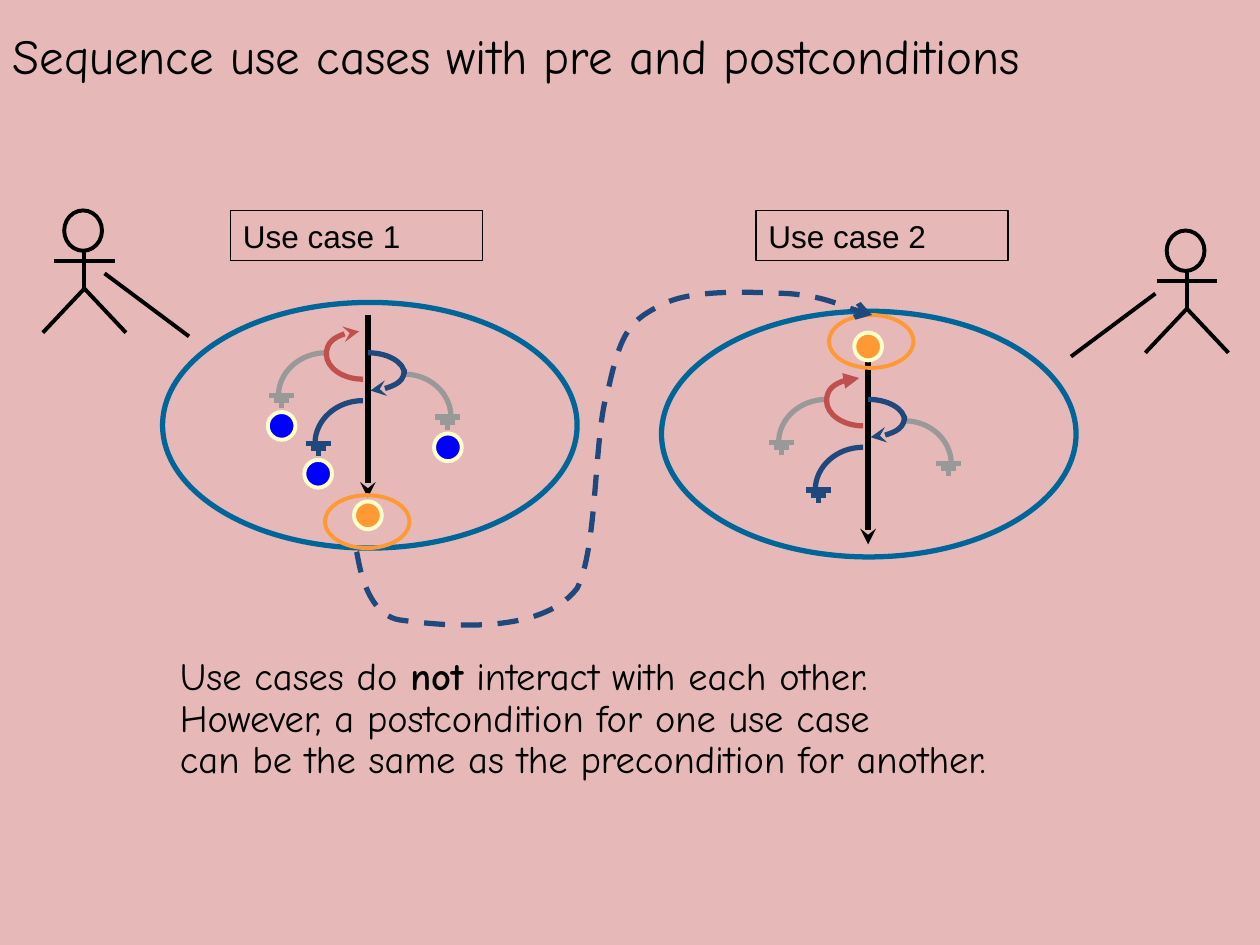
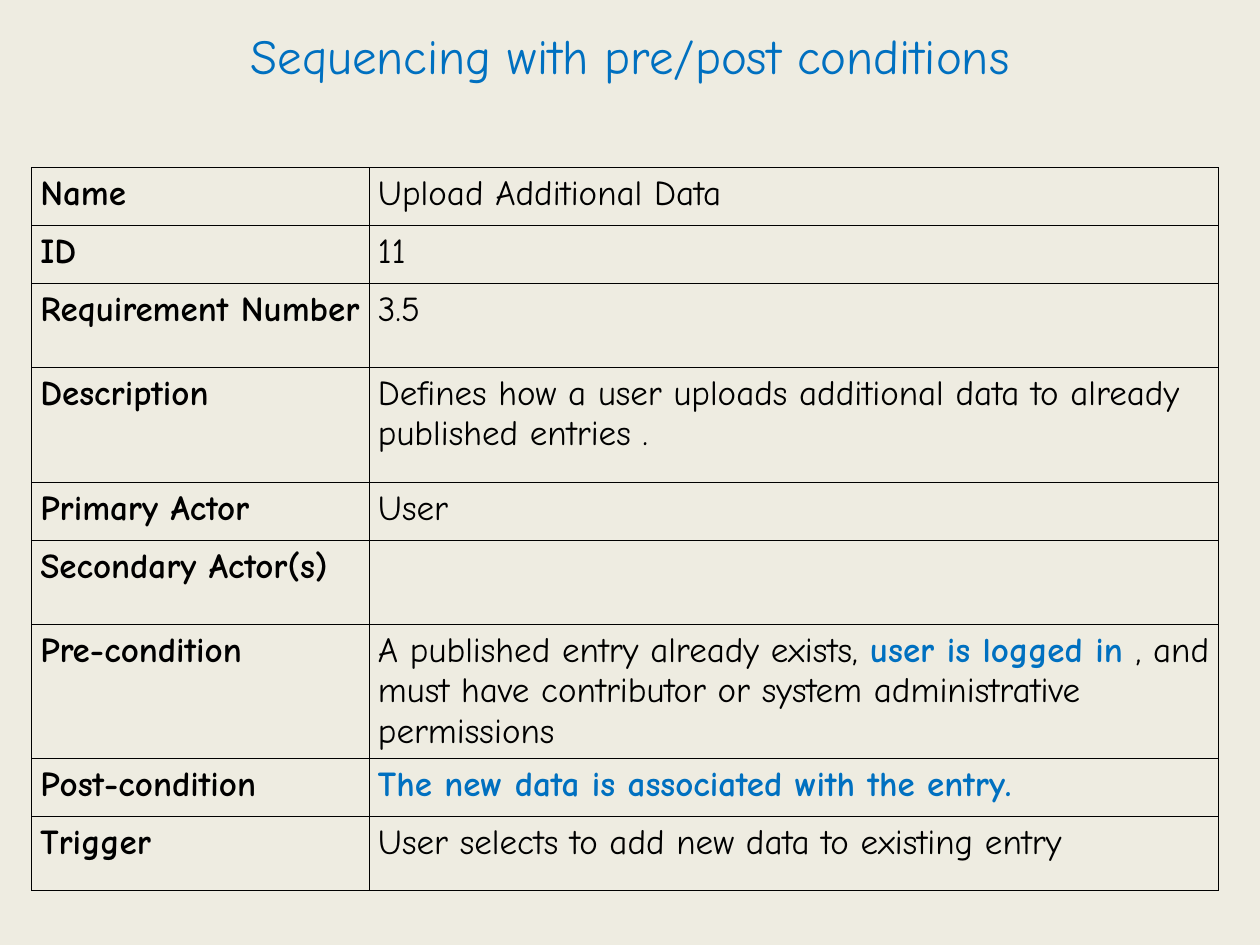
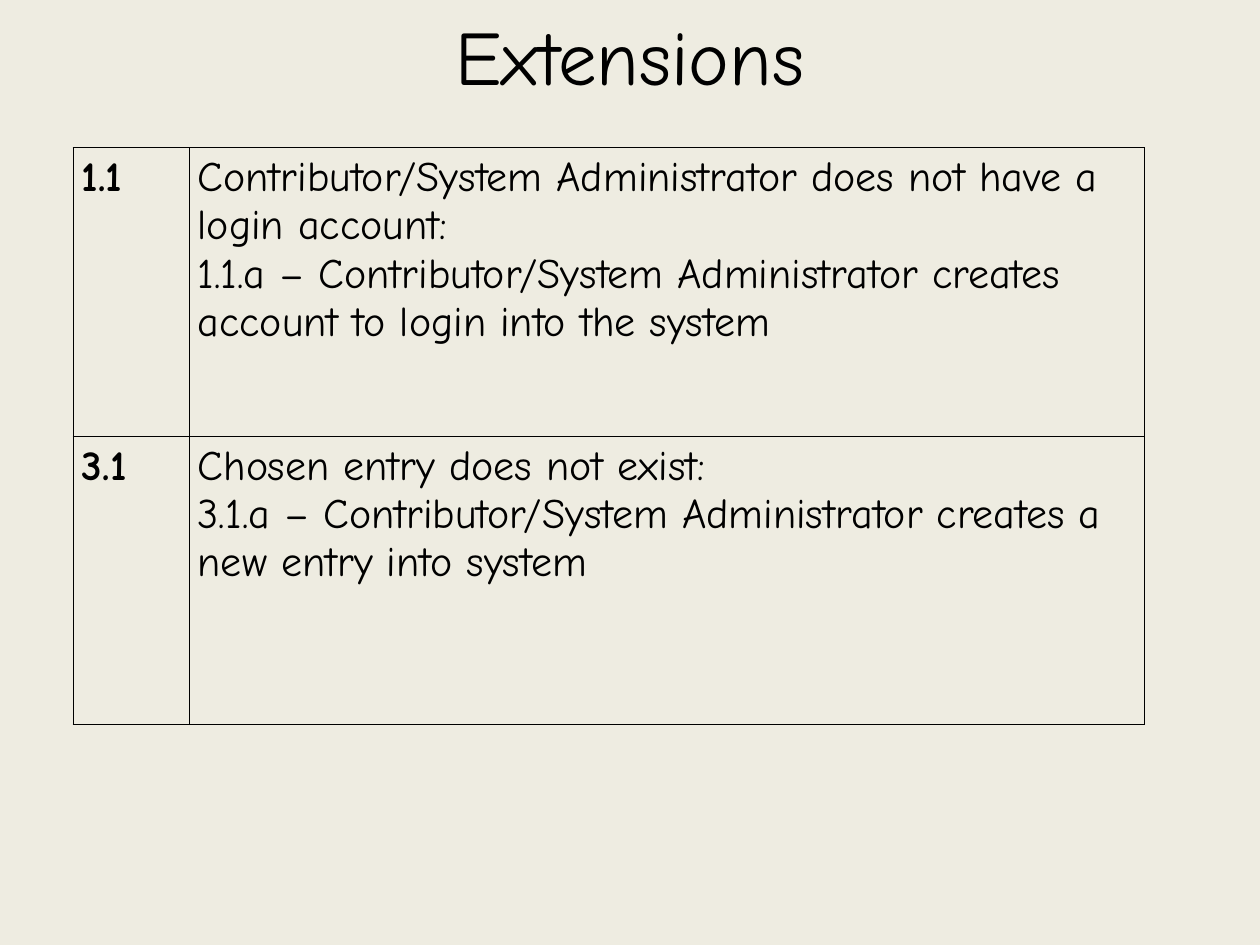
from lxml import etree
from pptx import Presentation
from pptx.dml.color import RGBColor
from pptx.enum import dml, shapes, text
from pptx.oxml.ns import qn
from pptx.util import Inches, Pt

# Shared style
BLACK = RGBColor(0x00, 0x00, 0x00)
ROSE = RGBColor(0xE6, 0xB9, 0xB8)
CREAM = RGBColor(0xEE, 0xEC, 0xE1)
ACCENT = RGBColor(0x00, 0x70, 0xC0)
NAVY = RGBColor(0x1F, 0x49, 0x7D)
TEAL = RGBColor(0x00, 0x66, 0x99)
GRAY = RGBColor(0x99, 0x99, 0x99)
RED = RGBColor(0xC0, 0x50, 0x4D)
ORANGE = RGBColor(0xFF, 0x99, 0x33)
BLUE = RGBColor(0x00, 0x00, 0xFF)
PALE = RGBColor(0xFF, 0xFF, 0xCC)
HAND_FONT, LABEL_FONT = "Comic Neue", "Arial"
TITLE_ONLY = 5
CURVE = 0.55  # handle length of a quarter ellipse
FRAME = {"word_wrap": True, "auto_size": text.MSO_AUTO_SIZE.NONE}
TOP = {**FRAME, "vertical_anchor": text.MSO_ANCHOR.TOP}
MIDDLE = {**FRAME, "vertical_anchor": text.MSO_ANCHOR.MIDDLE}
LEFT = {"alignment": text.PP_ALIGN.LEFT}
CENTER = {"alignment": text.PP_ALIGN.CENTER}
CELL = {"margin_left": Inches(0.07), "margin_right": Inches(0.07),
        "margin_top": Inches(0.05), "margin_bottom": Inches(0.05)}


def apply(target, values):
    for name, value in values.items():
        setattr(target, name, value)


def inches(*lengths):
    return [Inches(length) for length in lengths]


class Deck:
    def __init__(self):
        self.presentation = Presentation()
        apply(self.presentation, {"slide_width": Inches(10), "slide_height": Inches(7.5)})
        self.slide = None

    def add_slide(self, title, background, size=28, color=BLACK, layout=CENTER):
        slide_layout = self.presentation.slide_layouts[TITLE_ONLY]
        self.slide = self.presentation.slides.add_slide(slide_layout)
        self.slide.background.fill.solid()
        self.slide.background.fill.fore_color.rgb = background
        shape = self.slide.shapes.title
        apply(shape, dict(zip(("left", "top", "width", "height"), inches(0, 0, 10, 0.87))))
        apply(shape.text_frame, MIDDLE)
        self.add_text(shape.text_frame, [[(title, color, False)]], size, layout=layout)

    # Text
    def add_text(self, frame, paragraphs, size, font=HAND_FONT, bold=False, layout=LEFT):
        """A paragraph is a list of runs: (words, colour, bold) or plain words."""
        for index, runs in enumerate(paragraphs):
            paragraph = frame.add_paragraph() if index else frame.paragraphs[0]
            apply(paragraph, layout)
            for item in runs:
                words, color, weight = (item, BLACK, bold) if isinstance(item, str) else item
                for number, line in enumerate(words.split("\n")):
                    if number:
                        paragraph.add_line_break()
                    run = paragraph.add_run()
                    run.text = line
                    apply(run.font, {"name": font, "size": Pt(size), "bold": weight})
                    run.font.color.rgb = color

    def text_box(self, box, paragraphs, size, layout):
        shape = self.slide.shapes.add_textbox(*inches(*box))
        apply(shape.text_frame, TOP)
        self.add_text(shape.text_frame, paragraphs, size, layout=layout)

    # Lines and shapes
    def outline(self, shape, color, width, arrow=None, dash=None):
        shape.line.color.rgb = color
        shape.line.width = Pt(width)
        if dash:
            shape.line.dash_style = dash
        if arrow:
            line = shape.element.spPr.find(qn("a:ln"))
            etree.SubElement(line, qn("a:tailEnd"), type=arrow)

    def line(self, start, end, color=BLACK, width=2.25, arrow=None):
        connector = self.slide.shapes.add_connector(
            shapes.MSO_CONNECTOR.STRAIGHT, *inches(*start, *end))
        self.outline(connector, color, width, arrow)
        etree.SubElement(connector.element.spPr, qn("a:effectLst"))

    def shape(self, kind, box, color, width, fill=None):
        shape = self.slide.shapes.add_shape(kind, *inches(*box))
        shape.shadow.inherit = False
        if fill is None:
            shape.fill.background()
        else:
            shape.fill.solid()
            shape.fill.fore_color.rgb = fill
        self.outline(shape, color, width)
        return shape

    def oval(self, box, color, width):
        self.shape(shapes.MSO_SHAPE.OVAL, box, color, width)

    def label(self, box, words):
        shape = self.shape(shapes.MSO_SHAPE.RECTANGLE, box, BLACK, 0.75)
        apply(shape.text_frame, TOP)
        self.add_text(shape.text_frame, [[words]], 18, font=LABEL_FONT)

    def outline_through(self, points, color, width, curved=False, arrow=None, dash=None):
        """Draw an open outline; if curved, points after the first are Bezier triples."""
        start, *others = [inches(*point) for point in points]
        builder = self.slide.shapes.build_freeform(*start)
        builder.add_line_segments(others, close=False)
        shape = builder.convert_to_shape()
        shape.shadow.inherit = False
        shape.fill.background()
        self.outline(shape, color, width, arrow, dash)
        if curved:
            segments = list(shape.element.iter(qn("a:lnTo")))
            for first in range(0, len(segments), 3):
                curve = etree.SubElement(segments[first].getparent(), qn("a:cubicBezTo"))
                for segment in segments[first:first + 3]:
                    curve.append(segment[0])
                    segment.getparent().remove(segment)

    def quarter(self, start, end, color, upright=False, arrow=None):
        """A quarter ellipse leaving its start level, or upright."""
        (x1, y1), (x2, y2) = start, end
        run, rise = CURVE * (x2 - x1), CURVE * (y2 - y1)
        handles = ([(x1, y1 + rise), (x2 - run, y2)] if upright
                   else [(x1 + run, y1), (x2, y2 - rise)])
        self.outline_through([start, *handles, end], color, 3, curved=True, arrow=arrow)

    # Use case diagram parts
    def state(self, x, y, fill):
        kind = shapes.MSO_SHAPE.FLOWCHART_CONNECTOR
        self.shape(kind, (x - 0.11, y - 0.11, 0.22, 0.22), PALE, 2.25, fill)

    def branch(self, start, end, color, with_state):
        """A branch that stops at a ground sign."""
        self.quarter(start, end, color)
        x, y = end
        x += 0.025 if x < start[0] else -0.025
        for half, drop in ((0.1, 0), (0.06, 0.04), (0.02, 0.08)):
            self.line((x - half, y + drop), (x + half, y + drop), color, 3)
        if with_state:
            self.state(x, y + 0.24, BLUE)

    def flow(self, x, y, loop_arrow, with_states):
        """Main flow down from (x, y), with its loops and branches."""
        def at(right, down):
            return x + right, y + down

        for start, end, color in (((0.29, 0.47), (0.66, 0.81), GRAY),
                                  ((-0.33, 0.3), (-0.71, 0.64), GRAY),
                                  ((-0.04, 0.68), (-0.42, 1.02), NAVY)):
            self.branch(at(*start), at(*end), color, with_states)
        self.quarter(at(-0.04, 0.51), at(-0.33, 0.31), RED)
        self.quarter(at(-0.33, 0.32), at(-0.07, 0.13), RED, True, loop_arrow)
        self.line(at(0, 0), at(0, 1.45), BLACK, 3, "stealth")
        self.quarter(at(0, 0.3), at(0.29, 0.47), NAVY)
        self.quarter(at(0.29, 0.43), at(0.02, 0.6), NAVY, True, "stealth")

    def actor(self, x, y):
        """Stick figure with the top of its head at (x, y)."""
        self.oval((x - 0.16, y, 0.3, 0.32), BLACK, 2.25)
        self.line((x, y + 0.32), (x, y + 0.62))
        self.line((x - 0.24, y + 0.4), (x + 0.24, y + 0.4))
        legs = [(x - 0.33, y + 0.97), (x, y + 0.62), (x + 0.33, y + 0.97)]
        self.outline_through(legs, BLACK, 2.25)

    # Tables
    def table(self, left, top, widths, heights, rows, size):
        box = inches(left, top, sum(widths), sum(heights))
        table = self.slide.shapes.add_table(len(rows), len(widths), *box).table
        apply(table, {"first_row": False, "horz_banding": False})
        for column, width in zip(table.columns, widths):
            column.width = Inches(width)
        for row, height, contents in zip(table.rows, heights, rows):
            row.height = Inches(height)
            for index, (cell, paragraphs) in enumerate(zip(row.cells, contents)):
                apply(cell, CELL)
                self.border(cell)
                cell.fill.background()
                self.add_text(cell.text_frame, paragraphs, size, bold=index == 0)

    def border(self, cell):
        properties = cell._tc.get_or_add_tcPr()
        for side in ("lnL", "lnR", "lnT", "lnB"):
            line = etree.SubElement(properties, qn(f"a:{side}"), w=str(Pt(0.45)))
            fill = etree.SubElement(line, qn("a:solidFill"))
            etree.SubElement(fill, qn("a:srgbClr"), val=str(BLACK))


def sequence_slide(deck):
    deck.add_slide("Sequence use cases with pre and postconditions", ROSE, layout=LEFT)

    # Use cases with their flows
    deck.flow(6.89, 2.87, "triangle", False)
    deck.state(6.89, 2.75, ORANGE)
    deck.oval((5.25, 2.47, 3.29, 1.95), TEAL, 3)
    deck.flow(2.92, 2.5, "stealth", True)
    deck.state(2.92, 4.09, ORANGE)
    deck.oval((1.29, 2.4, 3.29, 1.95), TEAL, 3)

    # Postcondition and precondition
    for left, top in ((2.58, 3.93), (6.58, 2.5)):
        deck.oval((left, top, 0.67, 0.42), ORANGE, 2.25)
    handover = [(2.83, 4.38),
                (2.84, 4.39), (2.88, 4.87), (3.17, 4.92),
                (3.46, 4.96), (4.28, 5.06), (4.58, 4.67),
                (4.75, 4.34), (4.71, 3.41), (4.83, 3.08),
                (4.93, 2.62), (5.01, 2.54), (5.25, 2.42),
                (5.49, 2.29), (5.97, 2.32), (6.25, 2.33),
                (6.53, 2.35), (6.78, 2.47), (6.92, 2.5)]
    deck.outline_through(handover, NAVY, 3, curved=True, arrow="arrow",
                         dash=dml.MSO_LINE.DASH)

    # Actors and labels
    deck.actor(0.67, 1.67)
    deck.actor(9.42, 1.83)
    deck.line((0.83, 2.17), (1.5, 2.67))
    deck.line((9.17, 2.33), (8.5, 2.83))
    for left, words in ((1.83, "Use case 1"), (6, "Use case 2")):
        deck.label((left, 1.67, 2, 0.4), words)

    # Explanation
    explanation = ["Use cases do ", ("not", BLACK, True),
                   " interact with each other.\n"
                   "However, a postcondition for one use case\n"
                   "can be the same as the precondition for another."]
    deck.text_box((1.33, 5.17, 7.5, 1.17), [explanation], 22, {**LEFT, "line_spacing": 0.9})


def conditions_slide(deck):
    deck.add_slide("Sequencing with pre/post conditions", CREAM, color=ACCENT)
    fields = [
        ("Name", 0.46, ["Upload Additional Data"]),
        ("ID", 0.46, ["11"]),
        ("Requirement Number", 0.67, ["3.5"]),
        ("Description", 0.91,
         ["Defines how a user uploads additional data to already published entries ."]),
        ("Primary Actor", 0.46, ["User"]),
        ("Secondary Actor(s)", 0.67, []),
        ("Pre-condition", 1, ["A published entry already exists, ",
                              ("user is logged in ", ACCENT, True),
                              ", and must have contributor or system administrative permissions"]),
        ("Post-condition", 0.46, [("The new data is associated with the entry.", ACCENT, True)]),
        ("Trigger", 0.59, ["User selects to add new data to existing entry"]),
    ]
    heights = [height for _, height, _ in fields]
    rows = [([[name]], [value]) for name, _, value in fields]
    deck.table(0.25, 1.33, (2.68, 6.74), heights, rows, 20)


def extensions_slide(deck):
    deck.add_slide("Extensions", CREAM, size=44)
    rows = [
        ([["1.1"]],
         [["Contributor/System Administrator does not have a login account:"],
          ["1.1.a – Contributor/System Administrator creates account to login into the system"]]),
        ([["3.1"]],
         [["Chosen entry does not exist:"],
          ["3.1.a – Contributor/System Administrator creates a new entry into system"]]),
    ]
    deck.table(0.58, 1.17, (0.92, 7.58), (2.29, 2.29), rows, 24)


def main():
    deck = Deck()
    sequence_slide(deck)
    conditions_slide(deck)
    extensions_slide(deck)
    deck.presentation.save("out.pptx")


if __name__ == "__main__":
    main()
